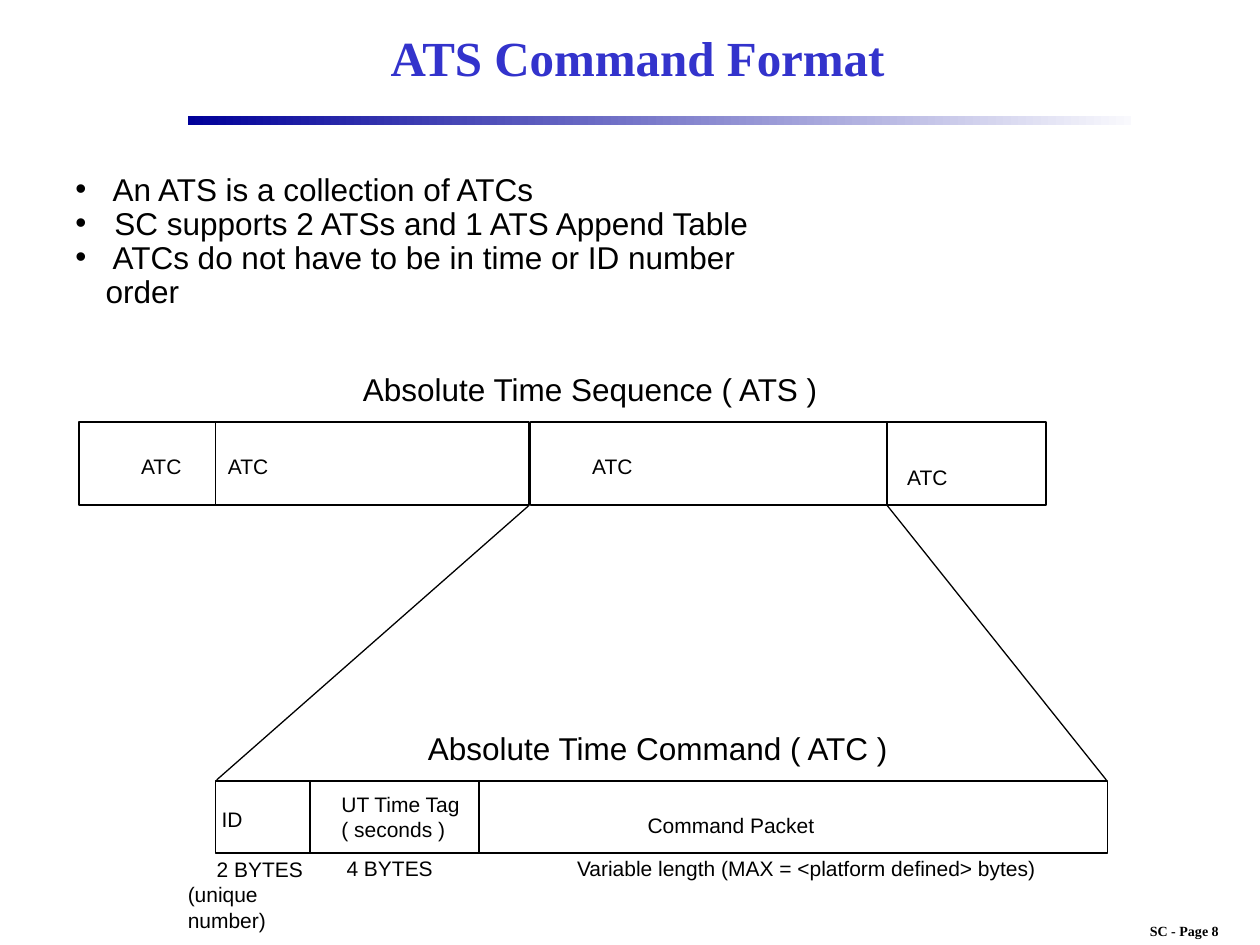
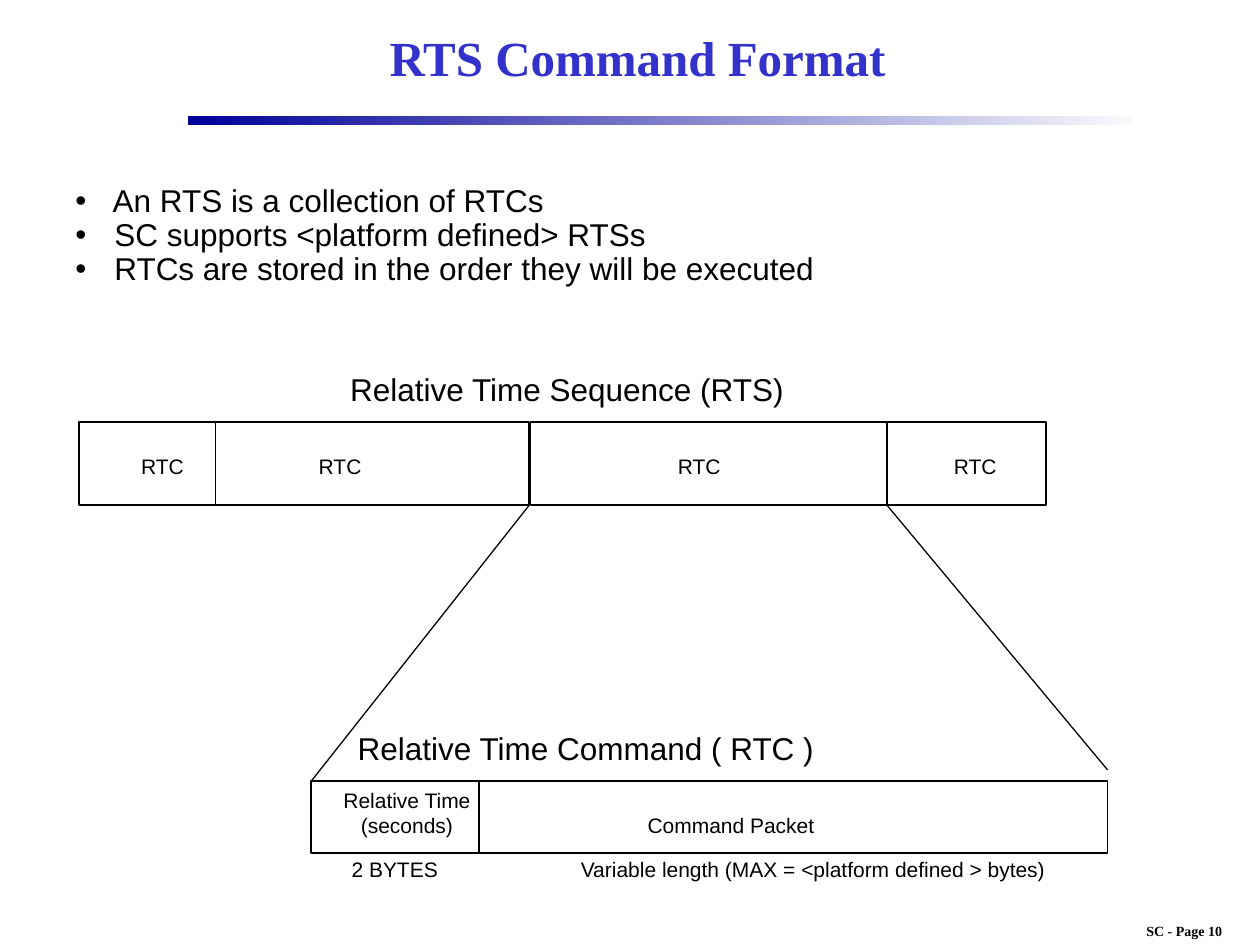
from dataclasses import dataclass

from lxml import etree
from pptx import Presentation
from pptx.dml.color import RGBColor
from pptx.enum.shapes import MSO_CONNECTOR, MSO_SHAPE
from pptx.enum.text import MSO_ANCHOR, MSO_AUTO_SIZE, PP_ALIGN
from pptx.oxml.ns import qn
from pptx.util import Emu, Inches, Pt

RECT = MSO_SHAPE.RECTANGLE
STRAIGHT = MSO_CONNECTOR.STRAIGHT
LEFT, CENTER = PP_ALIGN.LEFT, PP_ALIGN.CENTER
TOP, MIDDLE = MSO_ANCHOR.TOP, MSO_ANCHOR.MIDDLE
GROW = MSO_AUTO_SIZE.SHAPE_TO_FIT_TEXT

BLACK = RGBColor(0x00, 0x00, 0x00)
TITLE_BLUE = RGBColor(0x33, 0x33, 0xCC)
BAND_START = RGBColor(0x00, 0x00, 0x99)
BAND_END = RGBColor(0xF9, 0xF9, 0xFD)
SANS, SERIF = "Arial", "Times New Roman"

COLS, ROWS = 100, 75
WIDE_INSET, SLIM_INSET = (0.1, 0.05), (0.05, 0.02)
BULLET_INDENT = 0.24

SEQ_TOP, SEQ_H = 33.5, 6.6
SEQ_BOTTOM = SEQ_TOP + SEQ_H
SEQ_BOXES = ((6.3, 35.7), (42.1, 40.9))
SEQ_DIVIDERS = (17.1, 70.4)
ZOOM_EDGES = (42, 70.4)
CMD_TOP, CMD_H, CMD_RIGHT = 62, 5.7, 87.9

prs = Presentation()
prs.slide_width, prs.slide_height = Inches(10), Inches(7.5)


@dataclass(frozen=True)
class Box:
    col: float
    row: float
    cols: float
    rows: float


@dataclass(frozen=True)
class Label:
    text: str
    box: Box
    align: PP_ALIGN = LEFT
    indents: tuple[float, ...] = ()


@dataclass(frozen=True)
class FormatSlide:
    title: str
    page: str
    bullets: str
    bullet_box: Box
    sequence: Label
    command: Label
    command_left: float
    command_dividers: tuple[float, ...]
    zoom_ends: tuple[tuple[float, float], ...]
    labels: tuple[Label, ...]


def across(cols: float) -> Emu:
    return Emu(round(prs.slide_width * cols / COLS))


def down(rows: float) -> Emu:
    return Emu(round(prs.slide_height * rows / ROWS))


def place(box: Box) -> tuple[Emu, Emu, Emu, Emu]:
    return across(box.col), down(box.row), across(box.cols), down(box.rows)


def add_text(s, text: str, box: Box, *, size: float = 12, font: str = SANS,
             color: RGBColor = BLACK, bold: bool = False,
             align: PP_ALIGN = LEFT, anchor: MSO_ANCHOR = TOP,
             inset: tuple[float, float] = SLIM_INSET, wrap: bool = False,
             spacing: float = 1.0, bullet: str = "",
             indents: tuple[float, ...] = ()) -> None:
    tf = s.shapes.add_textbox(*place(box)).text_frame
    tf.word_wrap = wrap
    if anchor == TOP:
        tf.auto_size = GROW
    tf.vertical_anchor = anchor
    tf.margin_left = tf.margin_right = Inches(inset[0])
    tf.margin_top = tf.margin_bottom = Inches(inset[1])
    for i, line in enumerate(text.split("\n")):
        p = tf.add_paragraph() if i else tf.paragraphs[0]
        p.alignment, p.line_spacing = align, spacing
        pPr = p._p.get_or_add_pPr()
        if indents:
            pPr.set("marL", str(Inches(indents[i])))
        if bullet:
            pPr.set("marL", str(Inches(BULLET_INDENT)))
            pPr.set("indent", str(-Inches(BULLET_INDENT)))
            etree.SubElement(pPr, qn("a:buFont")).set("typeface", font)
            etree.SubElement(pPr, qn("a:buChar")).set("char", bullet)
        r = p.add_run()
        r.text = line
        r.font.size, r.font.name, r.font.bold = Pt(size), font, bold
        r.font.color.rgb = color


def add_frame(s, box: Box) -> None:
    sp = s.shapes.add_shape(RECT, *place(box))
    sp.shadow.inherit = False
    sp.fill.background()
    sp.line.color.rgb, sp.line.width = BLACK, Pt(1)


def add_line(s, start: tuple[float, float], end: tuple[float, float],
             width: float = 1) -> None:
    cxn = s.shapes.add_connector(STRAIGHT, across(start[0]), down(start[1]),
                                 across(end[0]), down(end[1]))
    cxn.line.color.rgb, cxn.line.width = BLACK, Pt(width)
    etree.SubElement(cxn._element.spPr, qn("a:effectLst"))


def add_dividers(s, cols: tuple[float, ...], top: float, height: float) -> None:
    for col in cols:
        add_line(s, (col, top), (col, top + height))


def add_chrome(s, title: str, page: str) -> None:
    add_text(s, page, Box(88, 72.7, 12, 2.3), size=8, font=SERIF, bold=True,
             align=CENTER, inset=WIDE_INSET)
    band = s.shapes.add_shape(RECT, *place(Box(14.9, 9.2, 74.9, 0.7)))
    band.shadow.inherit = False
    band.line.fill.background()
    band.fill.gradient()
    band.fill.gradient_angle = 0
    for stop, color in zip(band.fill.gradient_stops, (BAND_START, BAND_END)):
        stop.color.rgb = color
    add_text(s, title, Box(15.3, 0.8, 70.6, 7.5), size=28, font=SERIF,
             color=TITLE_BLUE, bold=True, align=CENTER, anchor=MIDDLE,
             inset=WIDE_INSET, wrap=True)


def add_format_slide(spec_: FormatSlide) -> None:
    s = prs.slides.add_slide(prs.slide_layouts[6])
    add_chrome(s, spec_.title, spec_.page)
    add_text(s, spec_.bullets, spec_.bullet_box, size=18, inset=WIDE_INSET,
             wrap=True, spacing=0.9, bullet="•")

    add_text(s, spec_.sequence.text, spec_.sequence.box, size=18)
    for col, cols in SEQ_BOXES:
        add_frame(s, Box(col, SEQ_TOP, cols, SEQ_H))
    add_dividers(s, SEQ_DIVIDERS, SEQ_TOP, SEQ_H)

    add_text(s, spec_.command.text, spec_.command.box, size=18, align=CENTER,
             inset=WIDE_INSET, spacing=0.9)
    add_frame(s, Box(spec_.command_left, CMD_TOP,
                     CMD_RIGHT - spec_.command_left, CMD_H))
    add_dividers(s, spec_.command_dividers, CMD_TOP, CMD_H)

    for col, end in zip(ZOOM_EDGES, spec_.zoom_ends):
        add_line(s, (col, SEQ_BOTTOM), end, width=0.75)
    for label in spec_.labels:
        add_text(s, label.text, label.box, align=label.align,
                 indents=label.indents)


def entries(name: str, spots: tuple[tuple[float, float], ...]) -> tuple[Label, ...]:
    return tuple(Label(name, Box(col, row, 4.4, 2.4)) for col, row in spots)


PACKET = Label("Command Packet", Box(50.9, 64.3, 14.3, 2.4))

SLIDES = (
    FormatSlide(
        title="ATS Command Format",
        page="SC - Page 8",
        bullets=" An ATS is a collection of ATCs\n"
                " SC supports 2 ATSs and 1 ATS Append Table\n"
                " ATCs do not have to be in time or ID number order",
        bullet_box=Box(5, 13.3, 60.2, 11.8),
        sequence=Label("Absolute Time Sequence ( ATS )", Box(28.3, 29.2, 37.6, 3.4)),
        command=Label("Absolute Time Command ( ATC )", Box(32.7, 57.7, 39, 3.7)),
        command_left=17.1,
        command_dividers=(24.6, 38),
        zoom_ends=((17.2, 61.9), (87.8, 61.9)),
        labels=(
            *entries("ATC", ((10.7, 35.8), (17.6, 35.8), (46.5, 35.8), (71.5, 36.7))),
            Label("ID", Box(17.1, 63.8, 2.7, 2.4)),
            Label("UT Time Tag\n( seconds )", Box(26.6, 62.6, 10.8, 4.4)),
            PACKET,
            Label("2 BYTES\n(unique number)", Box(14.4, 67.8, 13.2, 4.4),
                  indents=(0.23, 0)),
            Label("4 BYTES", Box(27, 67.7, 7.9, 2.4)),
            Label("Variable length (MAX = <platform defined> bytes)",
                  Box(45.3, 67.7, 37.6, 2.4)),
        ),
    ),
    FormatSlide(
        title="RTS Command Format",
        page="SC - Page 10",
        bullets=" An RTS is a collection of RTCs\n"
                " SC supports <platform defined> RTSs\n"
                " RTCs are stored in the order they will be executed",
        bullet_box=Box(5, 14.2, 62.5, 9.1),
        sequence=Label("Relative Time Sequence (RTS)", Box(27.3, 29.2, 35.6, 3.4)),
        command=Label("Relative Time Command ( RTC )", Box(27.3, 57.7, 38.4, 3.7)),
        command_left=24.7,
        command_dividers=(38,),
        zoom_ends=((24.7, 62), (87.9, 61.1)),
        labels=(
            *entries("RTC", ((10.7, 35.8), (24.8, 35.8), (53.3, 35.8), (75.2, 35.8))),
            Label("Relative Time\n(seconds)", Box(26.7, 62.3, 11.2, 4.4), CENTER),
            PACKET,
            Label("2 BYTES", Box(27.4, 67.8, 7.9, 2.4)),
            Label("Variable length (MAX = <platform defined > bytes)",
                  Box(45.6, 67.8, 38.1, 2.4)),
        ),
    ),
)

for format_slide in SLIDES:
    add_format_slide(format_slide)

prs.save("out.pptx")
